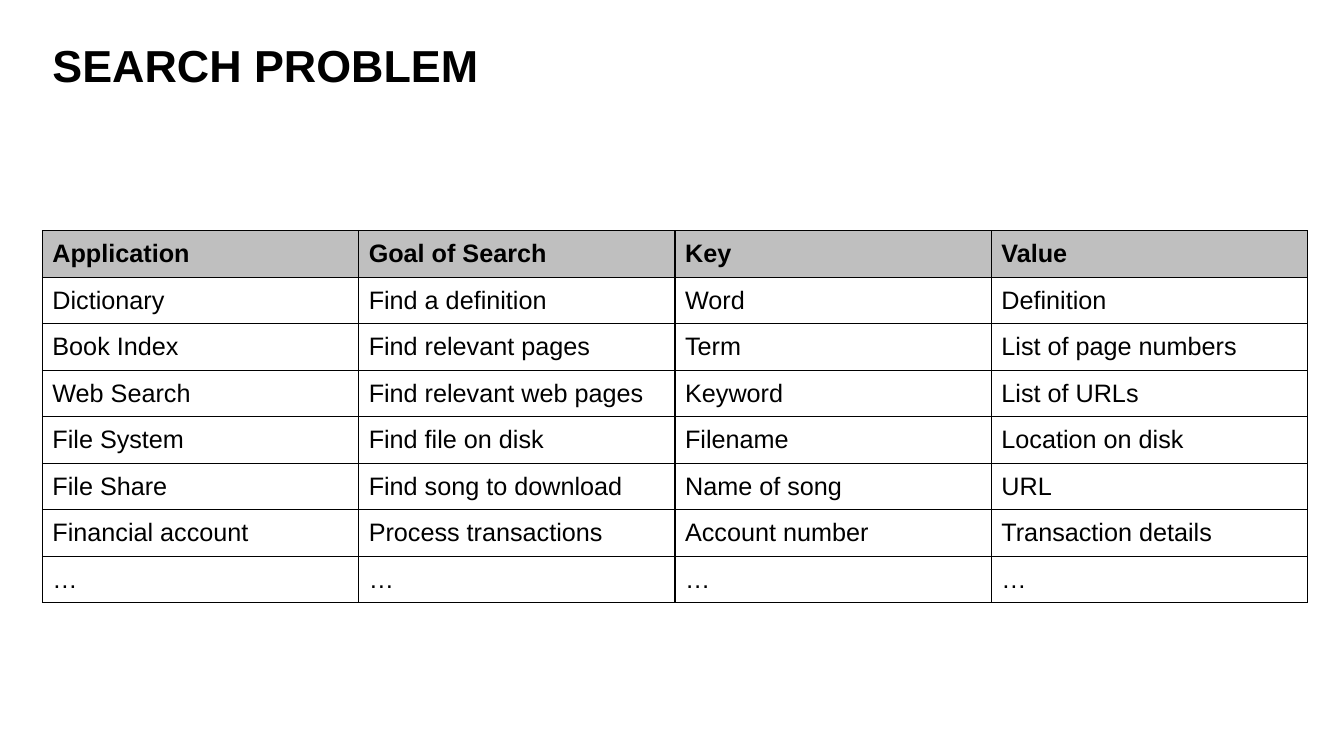
from lxml.etree import SubElement
from pptx import Presentation
from pptx.dml.color import RGBColor
from pptx.enum.text import MSO_ANCHOR, PP_ALIGN
from pptx.oxml import parse_xml
from pptx.oxml.ns import nsdecls, qn
from pptx.util import Inches, Pt

COLORS = {"text": "000000", "border": "000000", "header": "808080"}
FONT = "Arial"
HEADER_OPACITY = 50

SEARCHES = [
    ("Application", "Goal of Search", "Key", "Value"),
    ("Dictionary", "Find a definition", "Word", "Definition"),
    ("Book Index", "Find relevant pages", "Term", "List of page numbers"),
    ("Web Search", "Find relevant web pages", "Keyword", "List of URLs"),
    ("File System", "Find file on disk", "Filename", "Location on disk"),
    ("File Share", "Find song to download", "Name of song", "URL"),
    ("Financial account", "Process transactions", "Account number", "Transaction details"),
    ("…", "…", "…", "…"),
]


def add_text(paragraph, text, size, bold):
    run = paragraph.add_run()
    run.text = text
    run.font.name = FONT
    run.font.size = Pt(size)
    run.font.bold = bold
    run.font.color.rgb = RGBColor.from_string(COLORS["text"])


def add_borders(cell):
    properties = cell._tc.get_or_add_tcPr()
    for index, side in enumerate(("lnL", "lnR", "lnT", "lnB")):
        border = parse_xml(
            f'<a:{side} {nsdecls("a")} w="{Pt(1)}"><a:solidFill>'
            f'<a:srgbClr val="{COLORS["border"]}"/></a:solidFill></a:{side}>'
        )
        properties.insert(index, border)


def fill_header(cell):
    cell.fill.solid()
    cell.fill.fore_color.rgb = RGBColor.from_string(COLORS["header"])
    shade = cell._tc.tcPr.find(f'{qn("a:solidFill")}/{qn("a:srgbClr")}')
    SubElement(shade, qn("a:alpha"), val=str(HEADER_OPACITY * 1000))


def place_title(slide, left, top, width, height):
    title = slide.shapes.title
    title.left, title.top, title.width, title.height = left, top, width, height
    frame = title.text_frame
    frame.word_wrap = True
    frame.vertical_anchor = MSO_ANCHOR.MIDDLE
    paragraph = frame.paragraphs[0]
    paragraph.alignment = PP_ALIGN.LEFT
    paragraph.line_spacing = 0.9
    add_text(paragraph, "SEARCH PROBLEM", 32, True)


def add_search_table(slide, left, top, width, height):
    table = slide.shapes.add_table(
        len(SEARCHES), len(SEARCHES[0]), left, top, width, height
    ).table
    table.first_row = False
    table.horz_banding = False
    for row, search in enumerate(SEARCHES):
        is_header = row == 0
        for column, text in enumerate(search):
            cell = table.cell(row, column)
            cell.vertical_anchor = MSO_ANCHOR.MIDDLE
            add_text(cell.text_frame.paragraphs[0], text, 18, is_header)
            if is_header:
                fill_header(cell)
            else:
                cell.fill.background()
            add_borders(cell)


def main():
    presentation = Presentation()
    presentation.slide_width = Inches(13.33)
    presentation.slide_height = Inches(7.5)
    slide = presentation.slides.add_slide(presentation.slide_layouts[5])
    place_title(slide, Inches(0.42), Inches(0.28), Inches(11.08), Inches(0.79))
    add_search_table(slide, Inches(0.42), Inches(2.29), Inches(12.55), Inches(3.69))
    presentation.save("out.pptx")


if __name__ == "__main__":
    main()
